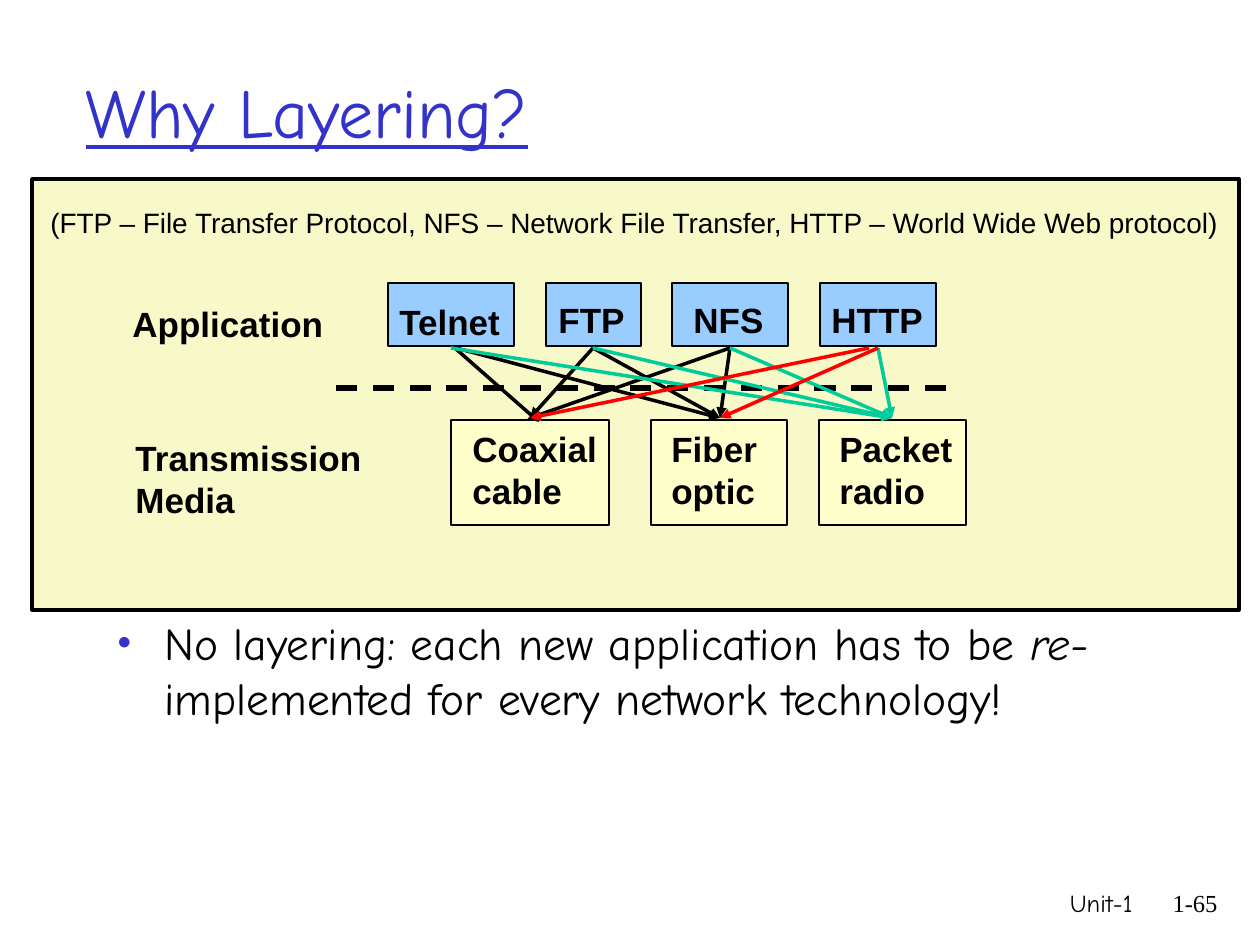
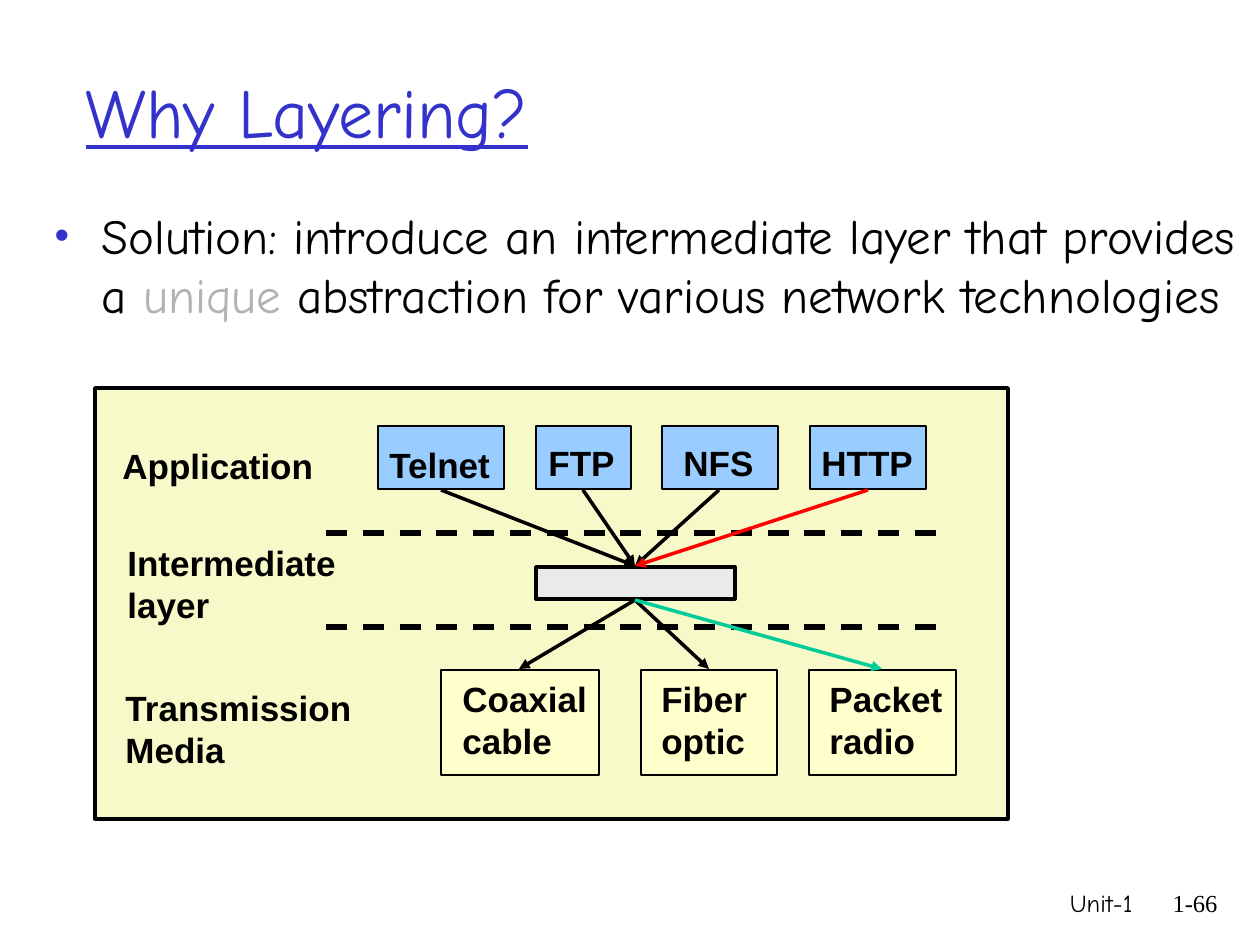
import pptx
import pptx.util
import pptx.dml.color
import pptx.enum.dml
import pptx.enum.shapes
import pptx.enum.text
import pptx.oxml.ns
from lxml import etree

# Shared scale, colours and text formats
PX = 914400 / 126
HUES = {"black": "000000", "blue": "3333CC", "panel": "F8F9C9", "app": "99CCFF",
        "media": "FFFFCC", "layer": "EAEAEA", "green": "00CC99", "red": "FF0000",
        "grey": "B2B2B2"}
Pt = pptx.util.Pt
ALIGN = pptx.enum.text.PP_ALIGN
FIT = pptx.enum.text.MSO_AUTO_SIZE
HEAD = {"name": "Comic Neue", "size": Pt(40), "underline": True, "hue": "blue"}
BOLD = {"name": "Arial", "size": Pt(20), "bold": True}
NOTE = {"name": "Arial", "size": Pt(16)}
UNIT = {"name": "Comic Neue", "size": Pt(14)}
PAGE = {"name": "Times New Roman", "size": Pt(14)}

# Diagram parts: name, left, width, text left, text top offset, text width
APPS = [("Telnet", 388, 126, 387, 11, 140), ("FTP", 546, 95, 546, 9, 96),
        ("NFS", 672, 116, 681, 9, 100), ("HTTP", 820, 116, 819, 9, 122)]
MEDIA = [("Coaxial\ncable", 451, 158, 460, 1, 162),
         ("Fiber\noptic", 651, 136, 659, 1, 115),
         ("Packet\nradio", 819, 147, 827, 1, 143)]

# What differs between the slides; a link is x1, y1, x2, y2, colour
SLIDES = [
    {"page": "1-65", "panel": (32, 179, 1207, 431), "shift": 0, "app": 283, "media": 420,
     "body": (105, 609, 1092, 157), "size": 26,
     "runs": [("No layering: each new application has to be ", {}),
              ("re-", {"italic": True}),
              ("implemented for every network technology!", {})],
     "labels": [("Application", 120, 296, 221), ("Transmission\nMedia", 123, 430, 258)],
     "note": "(FTP – File Transfer Protocol, NFS – Network File Transfer, "
             "HTTP – World Wide Web protocol)",
     "rules": [388], "layer": None,
     "links": [(456, 349, 539, 422, "black")] + [
         (a, 348, b, 418, hue) for a, b, hue in [
             (456, 720, "black"), (593, 530, "black"), (593, 720, "black"),
             (730, 530, "black"), (730, 720, "black"),
             (451, 892, "green"), (593, 892, "green"), (730, 892, "green"),
             (878, 892, "green"), (869, 530, "red"), (878, 720, "red")]]},
    {"page": "1-66", "panel": (95, 388, 913, 431), "shift": -10, "app": 426, "media": 670,
     "body": (42, 199, 1218, 210), "size": 28,
     "runs": [("Solution: introduce an intermediate layer that provides a ", {}),
              ("unique", {"hue": "grey"}),
              (" abstraction for various network technologies", {})],
     "labels": [("Application", 110, 438, 221), ("Transmission\nMedia", 113, 680, 258),
                ("Intermediate\nlayer", 115, 535, 248)],
     "note": None, "rules": [533, 627], "layer": (536, 567, 199, 32),
     "links": [(a, 490, 635, 566, hue) for a, hue in [
                   (441, "black"), (583, "black"), (719, "black"), (868, "red")]] +
              [(635, 600, b, 669, hue) for b, hue in [
                   (519, "black"), (709, "black"), (882, "green")]]},
]


def rect(slide, place, hue, width):
    """Add an outlined rectangle."""
    shape = slide.shapes.add_shape(pptx.enum.shapes.MSO_SHAPE.RECTANGLE,
                                   *[round(v * PX) for v in place])
    shape.shadow.inherit = False
    shape.fill.solid()
    shape.fill.fore_color.rgb = pptx.dml.color.RGBColor.from_string(HUES[hue])
    shape.line.color.rgb = pptx.dml.color.RGBColor.from_string(HUES["black"])
    shape.line.width = Pt(width)


def write(slide, place, runs, form, box=None, wrap=False, align=ALIGN.LEFT):
    """Write runs into a placeholder or a new text box; a newline starts a paragraph."""
    place = [round(v * PX) for v in place]
    box = box or slide.shapes.add_textbox(*place)
    box.left, box.top, box.width, box.height = place
    frame = box.text_frame
    frame.word_wrap = wrap
    frame.auto_size = FIT.NONE if wrap else FIT.SHAPE_TO_FIT_TEXT
    para = frame.paragraphs[0]
    for text, extra in runs:
        for i, line in enumerate(text.split("\n")):
            if i:
                para = frame.add_paragraph()
            para.alignment = align
            para.space_before = Pt(0)
            run = para.add_run()
            run.text = line
            look = {"hue": "black", **form, **extra}
            hue = HUES[look.pop("hue")]
            run.font.color.rgb = pptx.dml.color.RGBColor.from_string(hue)
            for key, value in look.items():
                setattr(run.font, key, value)
    return frame


deck = pptx.Presentation()
deck.slide_width = round(1260 * PX)
deck.slide_height = round(945 * PX)

for data in SLIDES:
    slide = deck.slides.add_slide(deck.slide_layouts[1])
    dx = data["shift"]

    # Title and bullet
    frame = write(slide, (73, 32, 1071, 157), [("Why Layering?", {})], HEAD,
                  slide.shapes.title, True)
    frame.vertical_anchor = pptx.enum.text.MSO_ANCHOR.MIDDLE
    frame = write(slide, data["body"], data["runs"],
                  {"name": "Comic Neue", "size": Pt(data["size"])},
                  slide.placeholders[1], True)
    props = frame.paragraphs[0]._p.get_or_add_pPr()
    props.set("marL", str(round(47 * PX)))
    props.set("indent", str(-round(47 * PX)))
    tint = etree.SubElement(props, pptx.oxml.ns.qn("a:buClr"))
    etree.SubElement(tint, pptx.oxml.ns.qn("a:srgbClr"), val=HUES["blue"])
    etree.SubElement(props, pptx.oxml.ns.qn("a:buSzPct"), val="85000")
    etree.SubElement(props, pptx.oxml.ns.qn("a:buChar"), char="•")

    # Footer
    write(slide, (746, 882, 399, 63), [("Unit-1", {})], UNIT, wrap=True, align=ALIGN.RIGHT)
    write(slide, (1144, 882, 86, 63), [(data["page"], {})], PAGE, wrap=True,
          align=ALIGN.RIGHT)

    # Panel with its boxes
    rect(slide, data["panel"], "panel", 2)
    for kind, parts, high, tall in [("app", APPS, 63, 55), ("media", MEDIA, 105, 97)]:
        top = data[kind]
        for name, left, wide, x, dy, span in parts:
            rect(slide, (left + dx, top, wide, high), kind, 1.5)
            write(slide, (x + dx, top + dy, span, tall), [(name, {})], BOLD)
    if data["layer"]:
        rect(slide, data["layer"], "layer", 2)

    # Row labels and note
    for name, x, y, span in data["labels"]:
        write(slide, (x, y, span, 97 if "\n" in name else 55), [(name, {})], BOLD)
    if data["note"]:
        write(slide, (38, 199, 1204, 45), [(data["note"], {})], NOTE)

    # Dashed dividers, then arrows
    rules = [(336 + dx, y, 955 + dx, y, "black") for y in data["rules"]]
    for *ends, hue in rules + data["links"]:
        link = slide.shapes.add_connector(pptx.enum.shapes.MSO_CONNECTOR.STRAIGHT,
                                          *[round(v * PX) for v in ends])
        link.line.color.rgb = pptx.dml.color.RGBColor.from_string(HUES[hue])
        if ends[1] == ends[3]:
            link.line.width = Pt(3)
            link.line.dash_style = pptx.enum.dml.MSO_LINE.DASH
        else:
            link.line.width = Pt(2)
            etree.SubElement(link.line._get_or_add_ln(), pptx.oxml.ns.qn("a:tailEnd"),
                             type="triangle")
        etree.SubElement(link._element.spPr, pptx.oxml.ns.qn("a:effectLst"))

deck.save("out.pptx")
